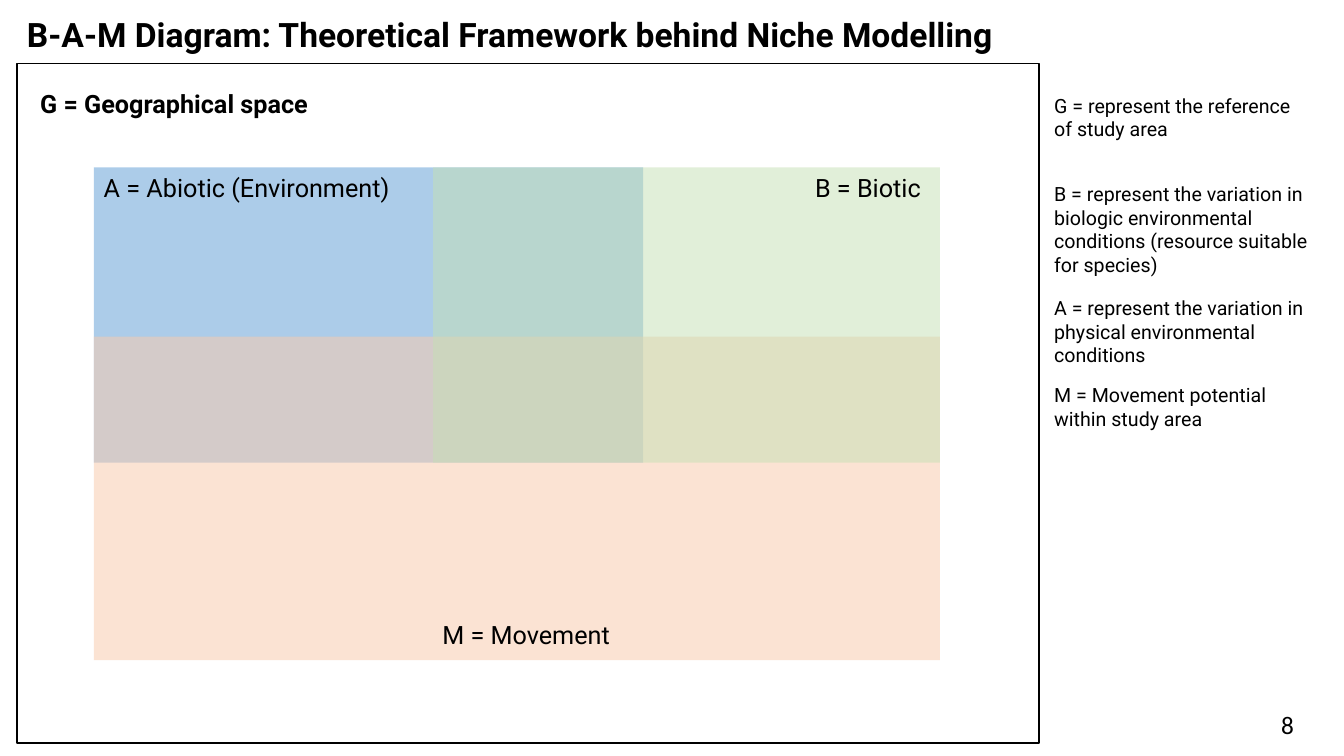
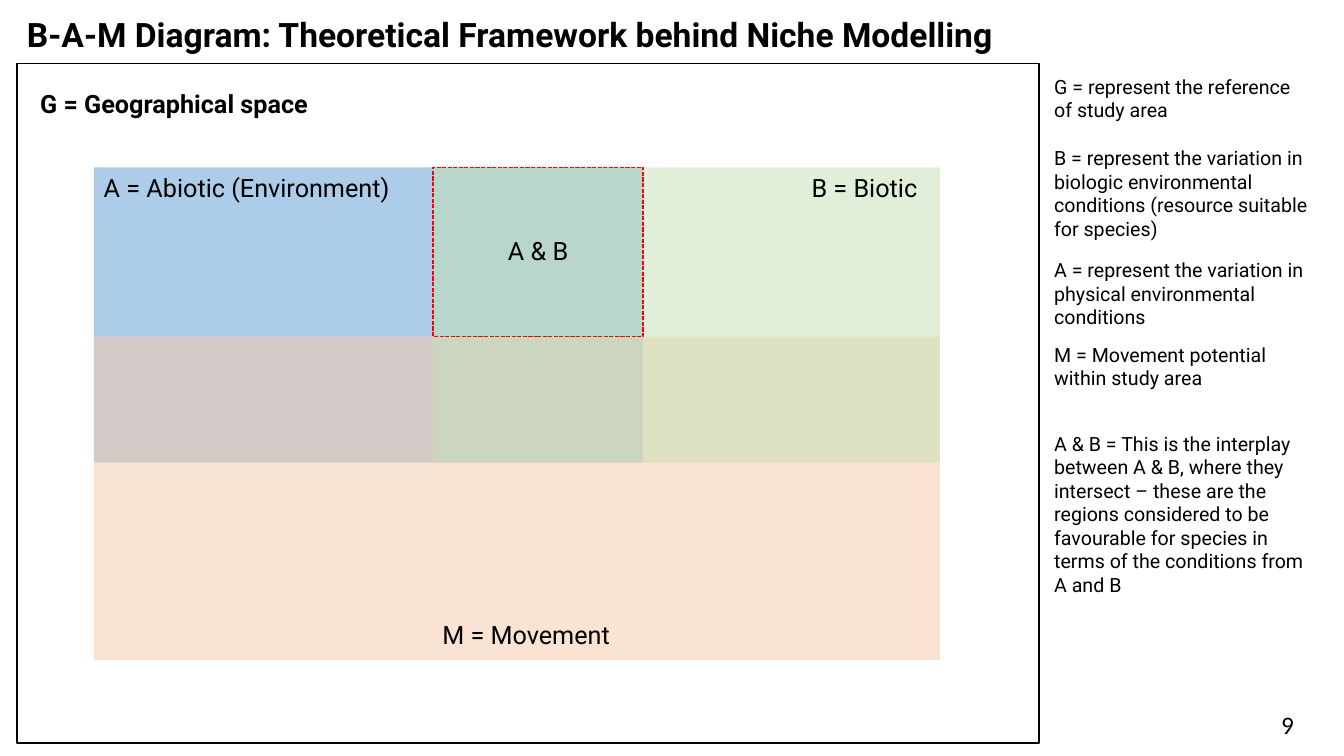
from typing import NamedTuple

from lxml.etree import SubElement
from pptx import Presentation
from pptx.dml.color import RGBColor
from pptx.enum.dml import MSO_LINE
from pptx.enum.shapes import MSO_SHAPE
from pptx.enum.text import MSO_ANCHOR, PP_ALIGN
from pptx.oxml.ns import qn
from pptx.util import Pt

BLACK = RGBColor(0x00, 0x00, 0x00)
RED = RGBColor(0xFF, 0x00, 0x00)
ABIOTIC_BLUE = RGBColor(0x5B, 0x9B, 0xD5)
BIOTIC_GREEN = RGBColor(0xC5, 0xE0, 0xB4)
MOVEMENT_ORANGE = RGBColor(0xF8, 0xCB, 0xAD)

TITLE = "B-A-M Diagram: Theoretical Framework behind Niche Modelling"
LABEL_HEIGHT = 29


class Box(NamedTuple):
    left: float
    top: float
    width: float
    height: float

    @property
    def right(self):
        return self.left + self.width

    @property
    def bottom(self):
        return self.top + self.height


FRAME = Box(12.2, 45.4, 730.1, 485.3)
DIAGRAM = Box(67, 119.5, 604.4, 352.1)
NOTES_LEFT = 745.9

# Each note has its text, width and height.
NOTE_G = ("G = represent the reference of study area", 190, 41)
NOTE_B = ("B = represent the variation in biologic environmental conditions "
          "(resource suitable for species)", 201.6, 75)
NOTE_A = ("A = represent the variation in physical environmental conditions",
          199.5, 58)
NOTE_M = ("M = Movement potential within study area", 199.5, 41)
NOTE_AB = ("A & B = This is the interplay between A & B, where they intersect – "
           "these are the regions considered to be favourable for species in "
           "terms of the conditions from A and B", 194, 126)


def add_text(slide, text, box, size=18, font="Roboto", bold=False,
             align=PP_ALIGN.LEFT, spacing=1.0):
    frame = slide.shapes.add_textbox(*map(Pt, box)).text_frame
    frame.word_wrap = True
    frame.vertical_anchor = MSO_ANCHOR.TOP
    paragraph = frame.paragraphs[0]
    paragraph.alignment = align
    paragraph.line_spacing = spacing
    run = paragraph.add_run()
    run.text = text
    run.font.name = font
    run.font.size = Pt(size)
    run.font.bold = bold
    run.font.color.rgb = BLACK


def add_rectangle(slide, box):
    rectangle = slide.shapes.add_shape(MSO_SHAPE.RECTANGLE, *map(Pt, box))
    rectangle.shadow.inherit = False
    return rectangle


def add_outline(slide, box, color, dash=None):
    outline = add_rectangle(slide, box)
    outline.fill.background()
    outline.line.color.rgb = color
    outline.line.width = Pt(1)
    if dash is not None:
        outline.line.dash_style = dash


def add_region(slide, box, color, opacity):
    """Add a borderless rectangle whose opacity is given in percent."""
    region = add_rectangle(slide, box)
    region.fill.solid()
    region.fill.fore_color.rgb = color
    region.line.fill.background()
    fill_color = region.fill._xPr.find(qn("a:solidFill"))[0]
    SubElement(fill_color, qn("a:alpha"), val=str(opacity * 1000))


def add_diagram(slide, box, biotic_label_width, show_overlap):
    """Draw the overlapping regions A, M and B with their labels."""
    upper_height, movement_height = 211, 231.1
    abiotic = Box(box.left, box.top, 392.4, upper_height)
    biotic = Box(box.right - 362, box.top, 362, upper_height)
    movement = Box(box.left, box.bottom - movement_height,
                   box.width, movement_height)
    overlap = Box(biotic.left, box.top, abiotic.right - biotic.left,
                  movement.top - box.top)

    add_region(slide, abiotic, ABIOTIC_BLUE, 50)
    add_region(slide, movement, MOVEMENT_ORANGE, 53)
    add_region(slide, biotic, BIOTIC_GREEN, 50)

    add_text(slide, "A = Abiotic (Environment)",
             Box(box.left, box.top, 223, LABEL_HEIGHT))
    add_text(slide, "B = Biotic",
             Box(box.right - biotic_label_width, box.top,
                 biotic_label_width, LABEL_HEIGHT))
    add_text(slide, "M = Movement",
             Box(overlap.left - 0.5, box.bottom - 33, 150.5, LABEL_HEIGHT))
    if show_overlap:
        add_outline(slide, overlap, RED, MSO_LINE.SQUARE_DOT)
        middle = overlap.top + (overlap.height - LABEL_HEIGHT) / 2
        add_text(slide, "A & B",
                 Box(overlap.left, middle - 1, overlap.width, LABEL_HEIGHT),
                 align=PP_ALIGN.CENTER)


def add_notes_column(slide, left, notes):
    for top, (text, width, height) in notes:
        add_text(slide, text, Box(left, top, width, height), size=14)


def add_bam_slide(deck, number, notes, biotic_label_width, show_overlap=False):
    slide = deck.slides.add_slide(deck.slide_layouts[6])
    add_text(slide, str(number), Box(908, 503.3, 42.5, 11.5), font="Calibri")
    add_text(slide, TITLE, Box(FRAME.left, 9.4, 770.4, 51),
             size=24, bold=True, spacing=0.9)
    add_outline(slide, FRAME, BLACK)
    add_text(slide, "G = Geographical space",
             Box(FRAME.left + 9.4, FRAME.top + 14.4, 235.4, LABEL_HEIGHT),
             bold=True)
    add_diagram(slide, DIAGRAM, biotic_label_width, show_overlap)
    add_notes_column(slide, NOTES_LEFT, notes)


def main():
    deck = Presentation()
    deck.slide_width, deck.slide_height = Pt(960), Pt(540)
    add_bam_slide(
        deck, 8, biotic_label_width=96.3,
        notes=[(63.4, NOTE_G), (126.7, NOTE_B), (208, NOTE_A), (270, NOTE_M)])
    add_bam_slide(
        deck, 9, biotic_label_width=98.8, show_overlap=True,
        notes=[(49.7, NOTE_G), (100.8, NOTE_B), (180.7, NOTE_A),
               (241.2, NOTE_M), (304.6, NOTE_AB)])
    deck.save("out.pptx")


if __name__ == "__main__":
    main()
